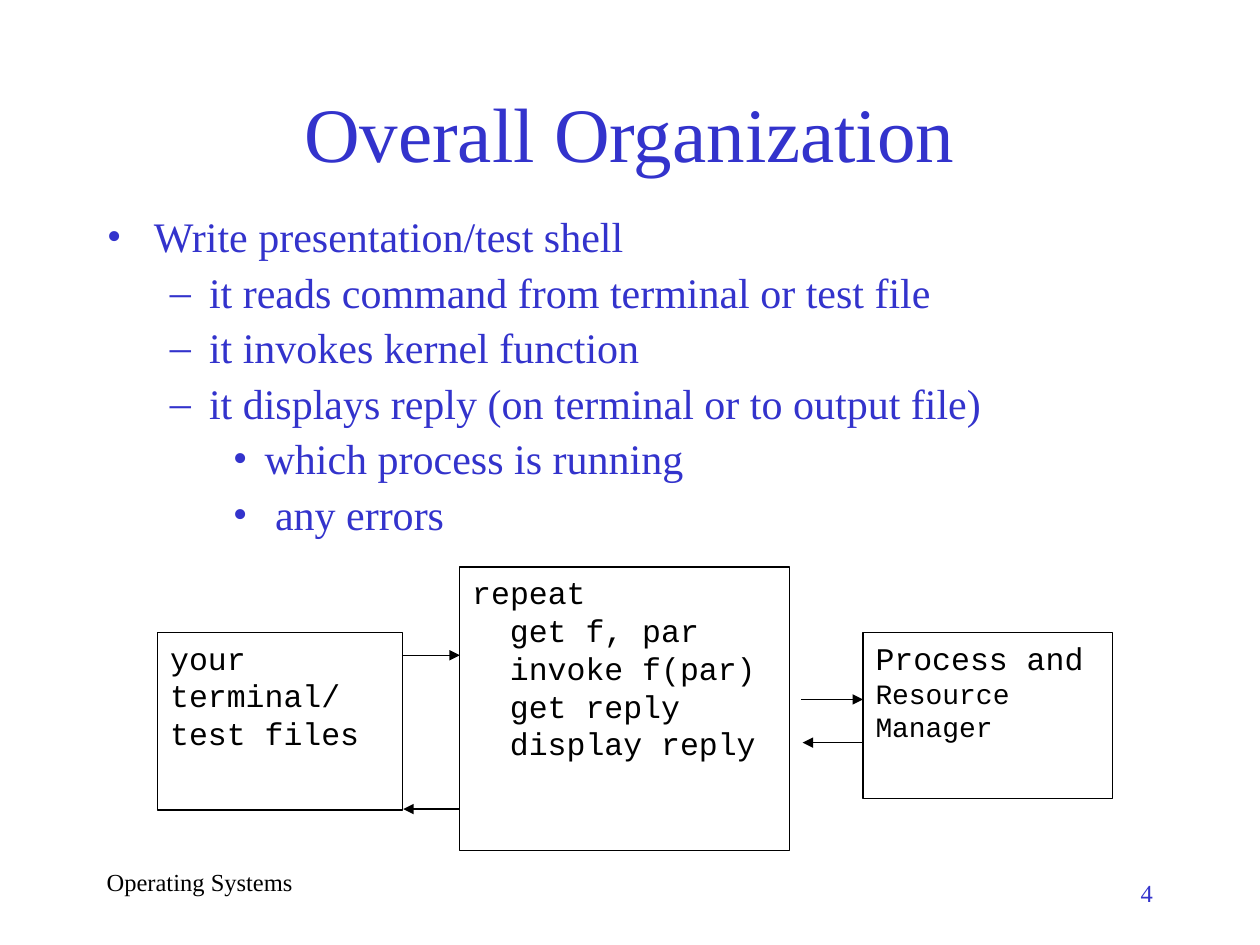
from lxml.etree import SubElement
from pptx import Presentation
from pptx.dml.color import RGBColor
from pptx.enum.shapes import MSO_CONNECTOR, MSO_SHAPE
from pptx.enum.text import MSO_ANCHOR, MSO_AUTO_SIZE, PP_ALIGN
from pptx.oxml.ns import qn
from pptx.util import Cm, Pt

BLUE, BLACK = "3333CC", "000000"
SERIF, MONO = "Times New Roman", "Courier New"

HEADING = "Overall Organization"
POINTS = [
    (0, "Write presentation/test shell"),
    (1, "it reads command from terminal or test file"),
    (1, "it invokes kernel function"),
    (1, "it displays reply (on terminal or to output file)"),
    (2, "which process is running"),
    (2, " any errors"),
]
LEVELS = [("•", 0.95, 0.95), ("–", 2.06, 0.79), ("•", 3.18, 0.64)]

# (left, top, width, height), [(text, size, indent)]
STAGES = [
    ((3.18, 12.75, 4.93, 3.58),
     [("your", 18, 0), ("terminal/", 18, 0), ("test files", 18, 0)]),
    ((9.27, 11.43, 6.65, 5.72),
     [("repeat", 18, 0), ("get f, par", 18, 0.76), ("invoke f(par)", 18, 0.76),
      ("get reply", 18, 0.76), ("display reply", 18, 0.76)]),
    ((17.4, 12.75, 5.03, 3.35),
     [("Process and", 18, 0), ("Resource", 16, 0), ("Manager", 16, 0)]),
]
ARROWS = [(8.13, 9.27, 13.21), (9.27, 8.13, 16.31),
          (16.15, 17.4, 14.1), (17.4, 16.18, 14.97)]
FOOTERS = [
    ("Operating Systems", BLACK, PP_ALIGN.LEFT, (1.9, 17.35, 5.28, 1.27)),
    ("4", BLUE, PP_ALIGN.RIGHT, (18.21, 17.58, 5.28, 1.07)),
]


def rgb(value):
    return RGBColor.from_string(value)


def style(paragraph, size, face, color, align=PP_ALIGN.LEFT):
    paragraph.alignment = align
    paragraph.font.size = Pt(size)
    paragraph.font.name = face
    paragraph.font.color.rgb = rgb(color)


def place(shape, box):
    shape.left, shape.top, shape.width, shape.height = map(Cm, box)


def paragraphs(frame, count):
    for _ in range(count - 1):
        frame.add_paragraph()
    return frame.paragraphs


def bullet(paragraph, mark, margin, hang):
    props = paragraph._p.get_or_add_pPr()
    props.set("marL", str(Cm(margin)))
    props.set("indent", str(-Cm(hang)))
    tint = SubElement(props, qn("a:buClr"))
    SubElement(tint, qn("a:srgbClr"), val=BLUE)
    SubElement(props, qn("a:buFont"), typeface=SERIF)
    SubElement(props, qn("a:buChar"), char=mark)


deck = Presentation()
deck.slide_width, deck.slide_height = Cm(25.4), Cm(19.05)
slide = deck.slides.add_slide(deck.slide_layouts[1])
heading, points = slide.placeholders

place(heading, (1.9, 1.7, 21.59, 1.9))
heading.text_frame.text = HEADING
heading.text_frame.auto_size = MSO_AUTO_SIZE.NONE
heading.text_frame.vertical_anchor = MSO_ANCHOR.MIDDLE
style(heading.text_frame.paragraphs[0], 44, SERIF, BLUE, PP_ALIGN.CENTER)

place(points, (1.9, 4.24, 21.59, 7.19))
points.text_frame.auto_size = MSO_AUTO_SIZE.NONE
for point, (level, words) in zip(paragraphs(points.text_frame, len(POINTS)), POINTS):
    point.text = words
    point.level = level
    bullet(point, *LEVELS[level])
    point.line_spacing = 0.9
    point.space_before = Pt(5.8)
    style(point, 24, SERIF, BLUE)

for box, lines in STAGES:
    stage = slide.shapes.add_shape(MSO_SHAPE.RECTANGLE, *map(Cm, box))
    stage.shadow.inherit = False
    stage.fill.background()
    stage.line.color.rgb = rgb(BLACK)
    stage.line.width = Pt(0.75)
    stage.text_frame.vertical_anchor = MSO_ANCHOR.TOP
    for line, (words, size, indent) in zip(paragraphs(stage.text_frame, len(lines)), lines):
        line.text = words
        line._p.get_or_add_pPr().set("marL", str(Cm(indent)))
        style(line, size, MONO, BLACK)

for start, end, y in ARROWS:
    arrow = slide.shapes.add_connector(
        MSO_CONNECTOR.STRAIGHT, Cm(start), Cm(y), Cm(end), Cm(y))
    arrow.line.color.rgb = rgb(BLACK)
    arrow.line.width = Pt(0.75)
    SubElement(arrow.line._get_or_add_ln(), qn("a:tailEnd"), type="triangle")
    SubElement(arrow._element.spPr, qn("a:effectLst"))

for words, color, align, box in FOOTERS:
    footer = slide.shapes.add_textbox(*map(Cm, box)).text_frame
    footer.word_wrap = True
    footer.text = words
    style(footer.paragraphs[0], 14, SERIF, color, align)

deck.save("out.pptx")
